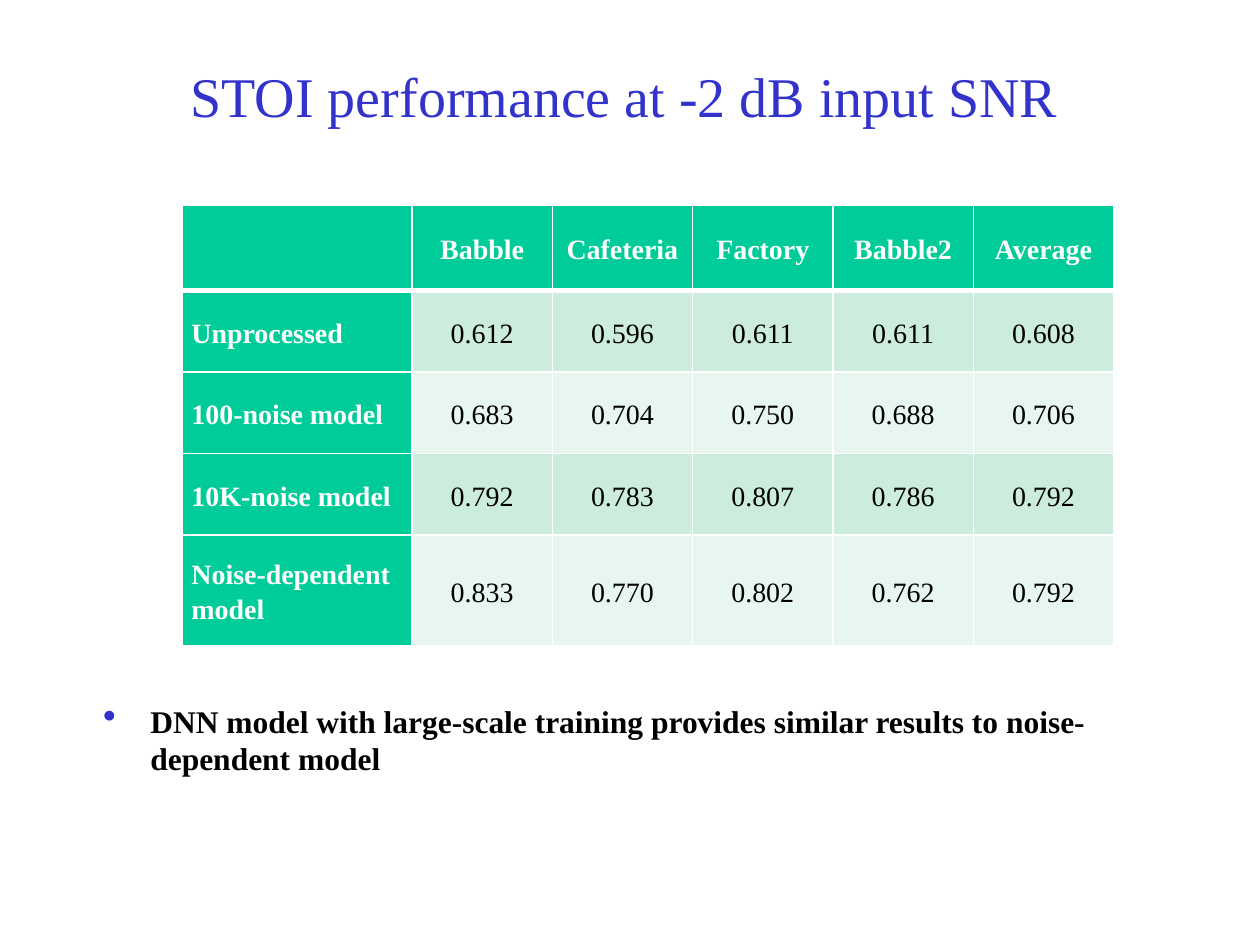
"""Build a slide comparing STOI scores of noise models in a table."""
from dataclasses import dataclass

from lxml.etree import SubElement
from pptx import Presentation
from pptx.dml.color import RGBColor
from pptx.enum.text import MSO_ANCHOR as Anchor, PP_ALIGN as Align
from pptx.oxml.ns import qn
from pptx.util import Pt

FONT = "Times New Roman"
BLUE = RGBColor(0x33, 0x33, 0xCC)
GREEN = RGBColor(0x00, 0xCC, 0x99)
MINT = RGBColor(0xCC, 0xEC, 0xDE)
PALE = RGBColor(0xE7, 0xF6, 0xEF)
WHITE = RGBColor(0xFF, 0xFF, 0xFF)
BLACK = RGBColor(0x00, 0x00, 0x00)

LABEL_WIDTH, SCORE_WIDTH = 131, 80.2
HEADER_HEIGHT = 49
THIN, THICK = 1, 3


@dataclass(frozen=True)
class Result:
    model: str
    scores: tuple[str, ...]
    height: float = 46.6


NOISES = ("Babble", "Cafeteria", "Factory", "Babble2", "Average")
RESULTS = (
    Result("Unprocessed", ("0.612", "0.596", "0.611", "0.611", "0.608")),
    Result("100-noise model", ("0.683", "0.704", "0.750", "0.688", "0.706")),
    Result("10K-noise model", ("0.792", "0.783", "0.807", "0.786", "0.792")),
    Result("Noise-dependent model", ("0.833", "0.770", "0.802", "0.762", "0.792"), 63.2),
)


def style_font(paragraph, size: float, color: RGBColor, bold: bool = False) -> None:
    font = paragraph.font
    font.name, font.size, font.bold = FONT, Pt(size), bold
    font.color.rgb = color


def add_text(slide, words: str, left: float, top: float, width: float, height: float):
    frame = slide.shapes.add_textbox(Pt(left), Pt(top), Pt(width), Pt(height)).text_frame
    frame.word_wrap = True
    frame.text = words
    return frame


def add_bullet(paragraph, color: RGBColor, indent: float) -> None:
    properties = paragraph._p.get_or_add_pPr()
    properties.set("marL", str(Pt(indent)))
    properties.set("indent", str(-Pt(indent)))
    tint = SubElement(properties, qn("a:buClr"))
    SubElement(tint, qn("a:srgbClr"), val=str(color))
    SubElement(properties, qn("a:buSzPct"), val="120000")
    SubElement(properties, qn("a:buChar"), char="•")


def add_borders(cell, top: float, bottom: float) -> None:
    properties = cell._tc.get_or_add_tcPr()
    for side, width in (("L", THIN), ("R", THIN), ("T", top), ("B", bottom)):
        line = SubElement(properties, qn(f"a:ln{side}"), w=str(Pt(width)))
        SubElement(SubElement(line, qn("a:solidFill")), qn("a:srgbClr"), val=str(WHITE))


def fill_cell(cell, words: str, row: int, column: int) -> None:
    heading = row == 0 or column == 0
    add_borders(cell, THICK if row == 1 else THIN, THICK if row == 0 else THIN)
    cell.fill.solid()
    cell.fill.fore_color.rgb = GREEN if heading else (MINT if row % 2 else PALE)
    cell.vertical_anchor = Anchor.MIDDLE
    cell.margin_left = cell.margin_right = Pt(5)
    cell.margin_top = cell.margin_bottom = 0
    cell.text = words
    paragraph = cell.text_frame.paragraphs[0]
    paragraph.alignment = Align.CENTER if column else Align.LEFT
    paragraph.line_spacing = 1.15
    style_font(paragraph, 16, WHITE if heading else BLACK, heading)


def add_scores(slide, left: float, top: float) -> None:
    rows = [("", *NOISES), *((result.model, *result.scores) for result in RESULTS)]
    heights = [HEADER_HEIGHT, *(result.height for result in RESULTS)]
    widths = [LABEL_WIDTH, *[SCORE_WIDTH] * len(NOISES)]
    scores = slide.shapes.add_table(
        len(rows), len(widths), Pt(left), Pt(top), Pt(sum(widths)), Pt(sum(heights))
    ).table
    scores.first_col = True
    for column, width in zip(scores.columns, widths):
        column.width = Pt(width)
    for row, height in zip(scores.rows, heights):
        row.height = Pt(height)
    for row, entries in enumerate(rows):
        for column, words in enumerate(entries):
            fill_cell(scores.cell(row, column), words, row, column)


def main() -> None:
    deck = Presentation()
    deck.slide_width, deck.slide_height = Pt(720), Pt(540)
    slide = deck.slides.add_slide(deck.slide_layouts[6])

    title = add_text(slide, "STOI performance at -2 dB input SNR", 41.8, 30.2, 630, 48.2)
    title.vertical_anchor = Anchor.MIDDLE
    title.paragraphs[0].alignment = Align.CENTER
    style_font(title.paragraphs[0], 32, BLUE)

    add_scores(slide, 104.4, 117)

    finding = add_text(
        slide,
        "DNN model with large-scale training provides similar results to "
        "noise-dependent model",
        51.8, 397.4, 630, 80,
    ).paragraphs[0]
    add_bullet(finding, BLUE, 27)
    style_font(finding, 18, BLACK, True)

    deck.save("out.pptx")


if __name__ == "__main__":
    main()
